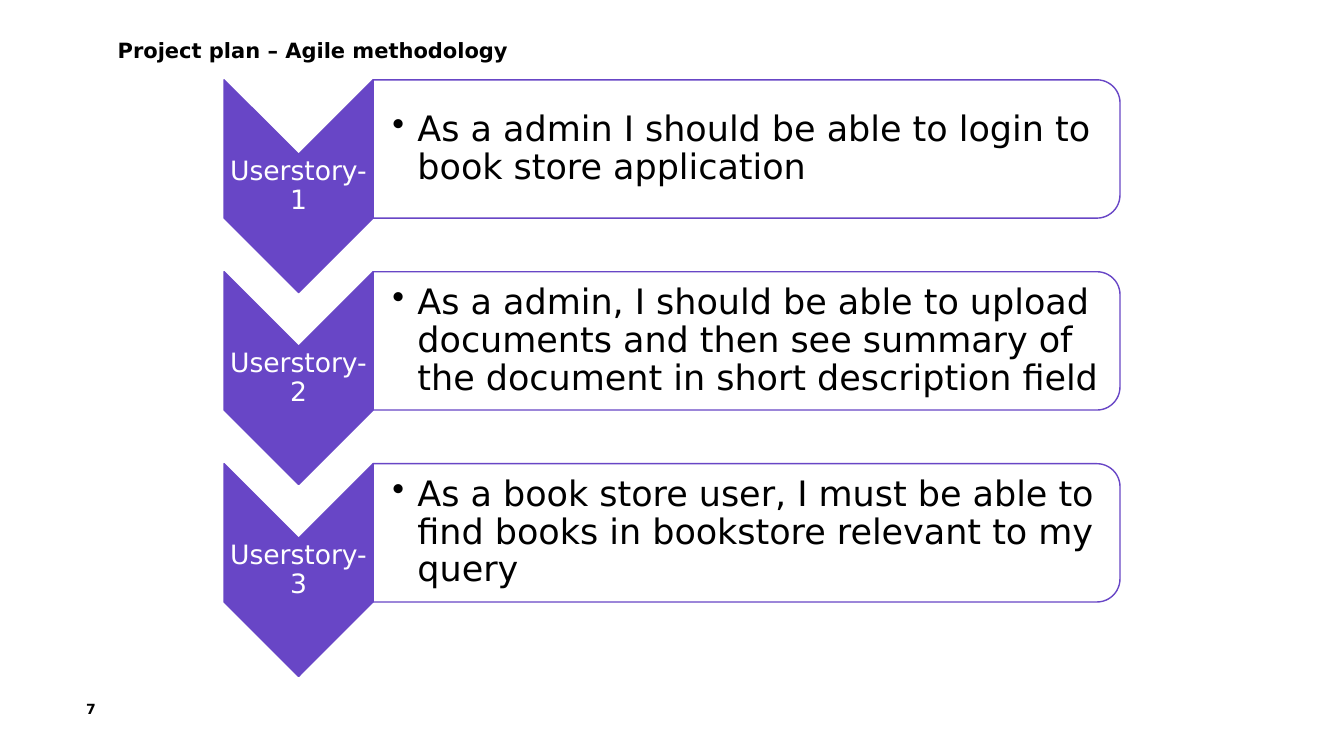
"""Build the agile user-story slide."""
from pptx import Presentation
from pptx.dml.color import RGBColor
from pptx.enum.shapes import MSO_SHAPE
from pptx.enum.text import MSO_ANCHOR, PP_ALIGN
from pptx.oxml.ns import qn
from pptx.util import Pt
from lxml.etree import SubElement

PURPLE = RGBColor(0x68, 0x46, 0xC6)
WHITE = RGBColor(0xFF, 0xFF, 0xFF)
BLACK = RGBColor(0, 0, 0)
FONT = "DejaVu Sans"
STORIES = [
    "As a admin I should be able to login to book store application",
    "As a admin, I should be able to upload documents and then see summary of the document in short description field",
    "As a book store user, I must be able to find books in bookstore relevant to my query",
]
STORY_PITCH = 137.1


def add_label(slide, box, words, size, color, insets, anchor=MSO_ANCHOR.MIDDLE, bold=False):
    label = slide.shapes.add_textbox(*map(Pt, box))
    frame = label.text_frame
    frame.word_wrap = True
    frame.vertical_anchor = anchor
    frame.margin_left, frame.margin_top, frame.margin_right, frame.margin_bottom = map(Pt, insets)
    line = frame.paragraphs[0]
    line.text = words
    line.font.name, line.font.size, line.font.bold = FONT, Pt(size), bold
    line.font.color.rgb = color
    return line


def add_turned_shape(slide, kind, box, fill):
    left, top, width, height = box
    shift = (width - height) / 2
    shape = slide.shapes.add_shape(
        kind, Pt(left + shift), Pt(top - shift), Pt(height), Pt(width))
    shape.rotation = 90
    shape.shadow.inherit = False
    shape.fill.solid()
    shape.fill.fore_color.rgb = fill
    shape.line.color.rgb = PURPLE
    shape.line.width = Pt(1)
    return shape


def add_arrow(slide, box, name):
    left, top, width, height = box
    arrow = add_turned_shape(slide, MSO_SHAPE.CHEVRON, box, PURPLE)
    arrow.adjustments[0] = 0.5
    notch = width / 2
    caption = add_label(slide, (left, top + notch, width, height - 2 * notch),
                        name, 19, WHITE, (0.75, 0.75, 0.75, 0.75))
    caption.alignment = PP_ALIGN.CENTER
    caption.line_spacing = 0.9


def add_panel(slide, box, story):
    left, top, width, height = box
    panel = add_turned_shape(slide, MSO_SHAPE.ROUND_2_SAME_RECTANGLE, box, WHITE)
    white = panel.fill._xPr.find(qn("a:solidFill")).find(qn("a:srgbClr"))
    SubElement(white, qn("a:alpha"), val="90000")
    sentence = add_label(slide, (left, top + 4.8, width - 4.8, height - 9.6),
                         story, 25, BLACK, (13.7, 1.4, 1.4, 1.4))
    sentence.line_spacing = 0.9
    properties = sentence._p.get_or_add_pPr()
    properties.set("marL", str(Pt(18)))
    properties.set("indent", str(-Pt(18)))
    SubElement(properties, qn("a:buChar"), char="•")


def add_story(slide, box, number, story):
    left, top, width, height = box
    arrow_width = 106.5
    add_arrow(slide, (left, top, arrow_width, height), f"Userstory-{number}")
    add_panel(slide, (left + arrow_width, top, width - arrow_width, 98.8), story)


def add_heading(slide, box):
    heading = add_label(slide, box, "Project plan – Agile methodology", 15, BLACK,
                        (7.2, 3.6, 7.2, 3.6), MSO_ANCHOR.TOP, True)
    heading.space_before = Pt(6)


def add_page_number(slide, box):
    number = add_label(slide, box, "7", 10, BLACK, (7.2, 3.6, 8.6, 3.6), bold=True)
    number.alignment = PP_ALIGN.RIGHT


def main():
    deck = Presentation()
    deck.slide_width, deck.slide_height = Pt(960), Pt(540)
    slide = deck.slides.add_slide(deck.slide_layouts[6])
    add_page_number(slide, (30.2, 495.4, 46.8, 22.3))
    add_heading(slide, (77, 23, 859.7, 29.5))
    for index, story in enumerate(STORIES):
        add_story(slide, (160, 57 + index * STORY_PITCH, 640, 152), index + 1, story)
    deck.save("out.pptx")


if __name__ == "__main__":
    main()
